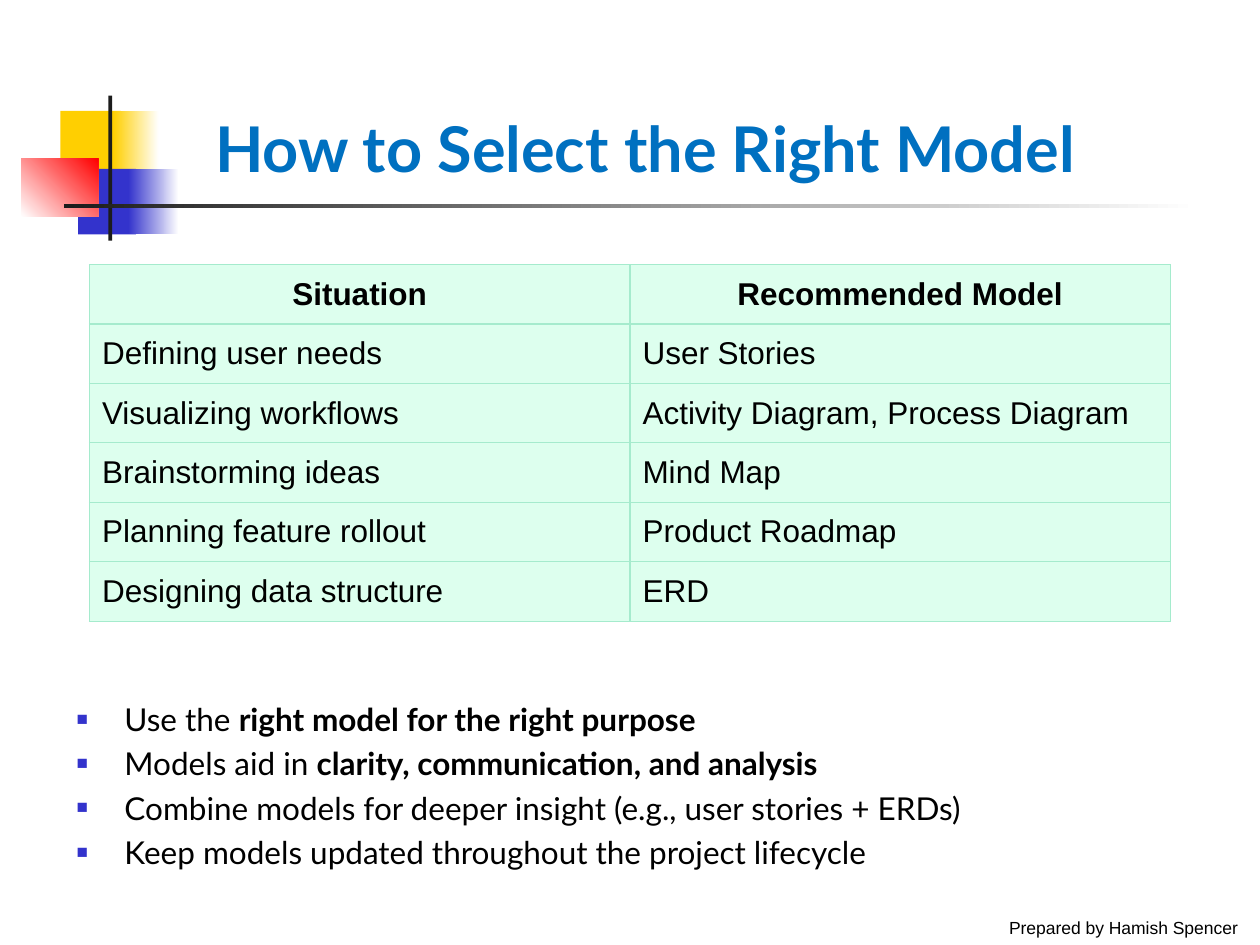
from lxml import etree
from pptx import Presentation
from pptx.dml import color
from pptx.enum import shapes, text
from pptx.oxml import ns
from pptx.util import Inches, Pt

YELLOW, BLUE, RED, DARK, WHITE = "FFCF01", "3333CC", "FF0000", "1C1C1C", "FFFFFF"
BLACK, TITLE_BLUE, MINT, MINT_LINE = "000000", "0070C0", "DDFFEE", "A5EBCD"

# Left, top, width, height, colours (two make a gradient), gradient angle
ORNAMENT = [
    (0.48, 0.88, 0.48, 0.52, [YELLOW], 0),
    (0.90, 0.88, 0.36, 0.52, [YELLOW, WHITE], 0),
    (0.62, 1.34, 0.46, 0.52, [BLUE], 0),
    (1.02, 1.34, 0.40, 0.52, [BLUE, WHITE], 0),
    (0.17, 1.26, 0.61, 0.46, [WHITE, RED], 45),
    (0.86, 0.76, 0.03, 1.15, [DARK], 0),
    (0.51, 1.62, 9.00, 0.03, [DARK, WHITE], 0),
]
MODELS = [
    ("Situation", "Recommended Model"),
    ("Defining user needs", "User Stories"),
    ("Visualizing workflows", "Activity Diagram, Process Diagram"),
    ("Brainstorming ideas", "Mind Map"),
    ("Planning feature rollout", "Product Roadmap"),
    ("Designing data structure", "ERD"),
]
# Plain text, then bold text
ADVICE = [
    ("Use the ", "right model for the right purpose"),
    ("Models aid in ", "clarity, communication, and analysis"),
    ("Combine models for deeper insight (e.g., user stories + ERDs)", ""),
    ("Keep models updated throughout the project lifecycle", ""),
]


def rgb(value):
    return color.RGBColor.from_string(value)


def style(font, size, name, value, bold=False):
    font.size, font.name, font.bold = Pt(size), name, bold
    font.color.rgb = rgb(value)


def add_element(parent, tag, **attributes):
    return etree.SubElement(parent, ns.qn(tag), attributes)


def add_ornament(page):
    for left, top, width, height, colours, angle in ORNAMENT:
        block = page.shapes.add_shape(
            shapes.MSO_SHAPE.RECTANGLE,
            Inches(left), Inches(top), Inches(width), Inches(height))
        block.shadow.inherit = False
        block.line.fill.background()
        if len(colours) == 1:
            block.fill.solid()
            block.fill.fore_color.rgb = rgb(colours[0])
        else:
            block.fill.gradient()
            block.fill.gradient_angle = angle
            for position, (stop, value) in enumerate(zip(block.fill.gradient_stops, colours)):
                stop.position = position
                stop.color.rgb = rgb(value)


def add_text(page, left, top, width, height, wrap=True):
    box = page.shapes.add_textbox(Inches(left), Inches(top), Inches(width), Inches(height))
    box.text_frame.word_wrap = wrap
    return box.text_frame


def add_title(page, *area):
    frame = add_text(page, *area)
    frame.vertical_anchor = text.MSO_ANCHOR.BOTTOM
    frame.text = "How to Select the Right Model"
    style(frame.paragraphs[0].runs[0].font, 36, "Lato", TITLE_BLUE, True)


def add_footer(page, *area):
    frame = add_text(page, *area, wrap=False)
    frame.text = "Prepared by Hamish Spencer"
    style(frame.paragraphs[0].runs[0].font, 10, "Arial", BLACK)


def style_cell(cell):
    # Borders come before the fill in the cell properties
    properties = cell._tc.get_or_add_tcPr()
    for side in ("a:lnL", "a:lnR", "a:lnT", "a:lnB"):
        line = add_element(properties, side, w=str(Pt(0.75)))
        add_element(add_element(line, "a:solidFill"), "a:srgbClr", val=MINT_LINE)
    cell.fill.solid()
    cell.fill.fore_color.rgb = rgb(MINT)
    cell.vertical_anchor = text.MSO_ANCHOR.MIDDLE


def add_model_table(page, left, top, width, height):
    table = page.shapes.add_table(
        len(MODELS), len(MODELS[0]),
        Inches(left), Inches(top), Inches(width), Inches(height)).table
    for row, labels in enumerate(MODELS):
        for column, label in enumerate(labels):
            cell = table.cell(row, column)
            style_cell(cell)
            cell.text_frame.text = label
            para = cell.text_frame.paragraphs[0]
            if row == 0:
                para.alignment = text.PP_ALIGN.CENTER
            style(para.runs[0].font, 18, "Arial", BLACK, row == 0)


def add_bullet(para):
    properties = para._p.get_or_add_pPr()
    properties.set("marL", str(Inches(0.38)))
    properties.set("indent", str(Inches(-0.38)))
    add_element(add_element(properties, "a:buClr"), "a:srgbClr", val=BLUE)
    add_element(properties, "a:buSzPct", val="60000")
    add_element(properties, "a:buFont", typeface="Arial")
    add_element(properties, "a:buChar", char="■")


def add_advice(page, *area):
    frame = add_text(page, *area)
    for index, parts in enumerate(ADVICE):
        para = frame.add_paragraph() if index else frame.paragraphs[0]
        add_bullet(para)
        if index:
            para.space_before = Pt(3.6)
        for part, bold in zip(parts, (False, True)):
            if part:
                span = para.add_run()
                span.text = part
                style(span.font, 18, "Lato", BLACK, bold)


def main():
    deck = Presentation()
    deck.slide_width, deck.slide_height = Inches(10), Inches(7.5)
    page = deck.slides.add_slide(deck.slide_layouts[6])
    add_ornament(page)
    add_footer(page, 7.91, 7.23, 2.09, 0.27)
    add_title(page, 1.61, 0.49, 7.95, 1.03)
    add_model_table(page, 0.71, 2.1, 8.58, 2.83)
    add_advice(page, 0.51, 5.51, 9.06, 1.5)
    deck.save("out.pptx")


if __name__ == "__main__":
    main()
